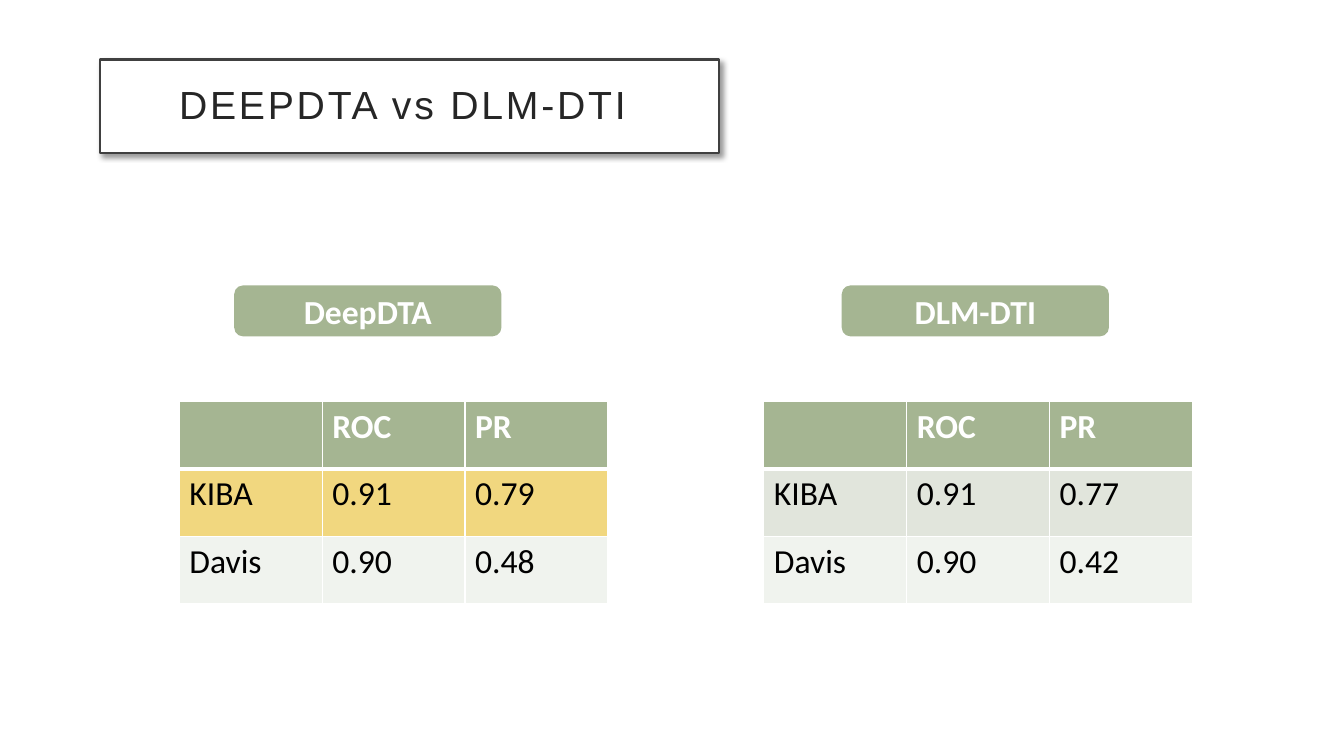
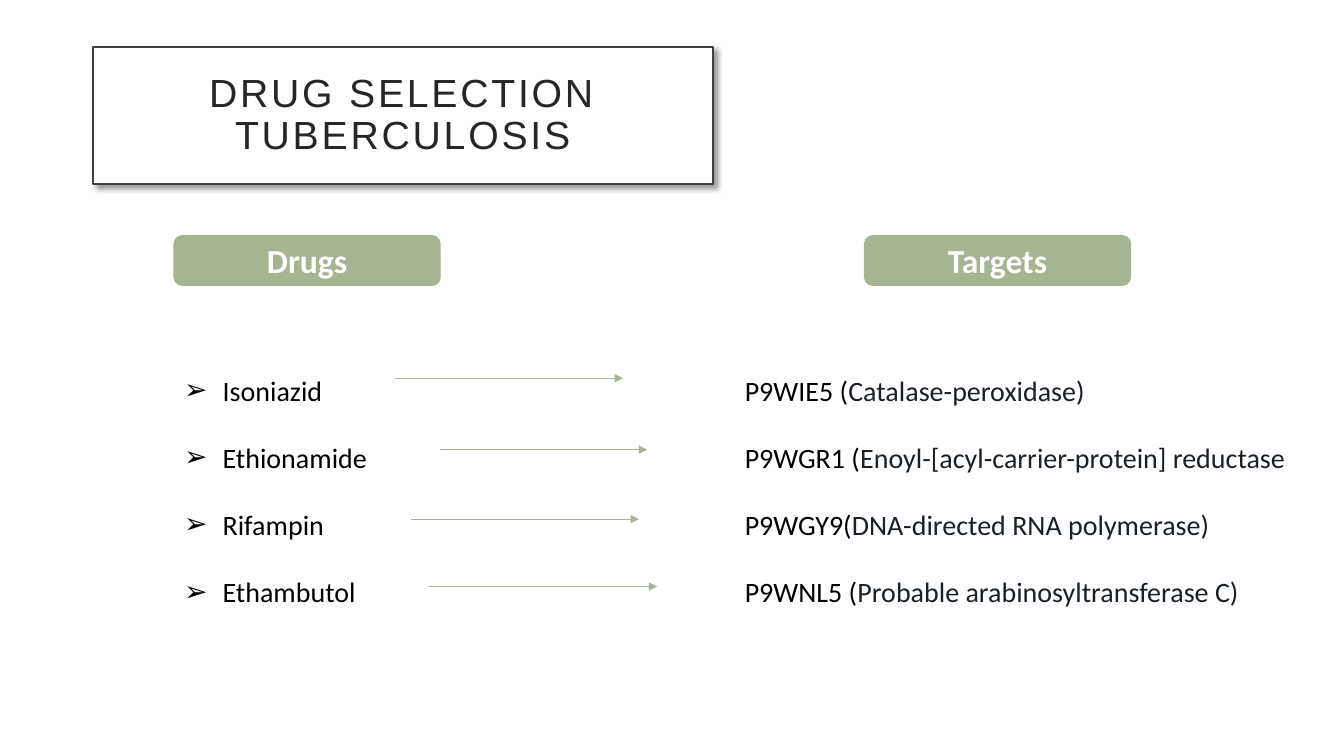
from dataclasses import dataclass

from lxml.etree import SubElement
from pptx import Presentation
from pptx.dml.color import RGBColor
from pptx.enum.shapes import MSO_CONNECTOR, MSO_SHAPE
from pptx.enum.text import MSO_ANCHOR, MSO_AUTO_SIZE, PP_ALIGN
from pptx.oxml.ns import qn
from pptx.util import Cm, Pt


@dataclass(frozen=True)
class Theme:
    accent: str = "A5B592"
    band_dark: str = "E1E5DC"
    band_light: str = "F0F3EE"
    highlight: str = "F1D77F"
    white: str = "FFFFFF"
    black: str = "000000"
    target_text: str = "192027"
    title_text: str = "262626"
    title_line: str = "404040"
    title_font: str = "Arial"
    body_font: str = "Calibri"
    title_size: int = 28
    heading_size: int = 24
    body_size: int = 20


@dataclass(frozen=True)
class Box:
    """A region of the slide in centimetres."""
    left: float
    top: float
    width: float
    height: float

    def lengths(self):
        return Cm(self.left), Cm(self.top), Cm(self.width), Cm(self.height)


THEME = Theme()
BADGE_WIDTH, BADGE_HEIGHT = 6.7, 1.25
TITLE_WIDTH = 15.62
TITLE_INSET = 0.51
BULLET_INDENT = 0.97

# Model, table box, offset of the badge from the table, fill of the KIBA row, scores
RESULTS = [
    ("DeepDTA", Box(4.52, 10.11, 10.8, 5.1), 1.4, THEME.highlight,
     [("", "ROC", "PR"), ("KIBA", "0.91", "0.79"), ("Davis", "0.90", "0.48")]),
    ("DLM-DTI", Box(19.25, 10.11, 10.8, 5.1), 1.98, THEME.band_dark,
     [("", "ROC", "PR"), ("KIBA", "0.91", "0.77"), ("Davis", "0.90", "0.42")]),
]
DRUGS = ["Isoniazid", "Ethionamide", "Rifampin", "Ethambutol"]
TARGETS = [
    ("P9WIE5 (", "Catalase-peroxidase)"),
    ("P9WGR1 (", "Enoyl-[acyl-carrier-protein] reductase"),
    ("P9WGY9(", "DNA-directed RNA polymerase)"),
    ("P9WNL5 (", "Probable arabinosyltransferase C)"),
]
# Start, height and length of each arrow, from the corner of the drug list
ARROWS = [(5.57, 1.1, 5.74), (6.71, 2.9, 5.21), (5.97, 4.65, 5.74), (6.43, 6.35, 5.74)]


def color(value):
    return RGBColor.from_string(value)


def format_font(font, size, value, bold=False, name=THEME.body_font):
    font.name, font.size, font.bold = name, Pt(size), bold
    font.color.rgb = color(value)


def format_shape(shape, fill, line, line_width):
    shape.shadow.inherit = False
    shape.fill.solid()
    shape.fill.fore_color.rgb = color(fill)
    shape.line.color.rgb = color(line)
    shape.line.width = Pt(line_width)


def add_title_slide(presentation, title_text, box):
    """Add a title-only slide with its framed, shadowed title in the box."""
    slide = presentation.slides.add_slide(presentation.slide_layouts[5])
    title = slide.shapes.title
    title.left, title.top, title.width, title.height = box.lengths()
    format_shape(title, THEME.white, THEME.title_line, 1.5)
    effects = title.element.spPr.find(qn("a:effectLst"))
    shadow = SubElement(effects, qn("a:outerShdw"), blurRad=str(Pt(4)), dist=str(Pt(3)),
                        dir="2700000", algn="tl", rotWithShape="0")
    shadow_color = SubElement(shadow, qn("a:srgbClr"), val=THEME.black)
    SubElement(shadow_color, qn("a:alpha"), val="40000")

    frame = title.text_frame
    frame.text = title_text
    frame.word_wrap = True
    frame.auto_size = MSO_AUTO_SIZE.NONE
    frame.vertical_anchor = MSO_ANCHOR.MIDDLE
    frame.margin_left = frame.margin_right = Cm(TITLE_INSET)
    frame.margin_top = frame.margin_bottom = Cm(TITLE_INSET)
    paragraph = frame.paragraphs[0]
    paragraph.alignment = PP_ALIGN.CENTER
    paragraph.line_spacing = 0.9
    run = paragraph.runs[0]
    format_font(run.font, THEME.title_size, THEME.title_text, name=THEME.title_font)
    run.font._element.set("spc", "200")
    return slide


def add_badge(slide, text, left, top):
    box = Box(left, top, BADGE_WIDTH, BADGE_HEIGHT)
    badge = slide.shapes.add_shape(MSO_SHAPE.ROUNDED_RECTANGLE, *box.lengths())
    format_shape(badge, THEME.accent, THEME.accent, 1)
    frame = badge.text_frame
    frame.text = text
    frame.vertical_anchor = MSO_ANCHOR.MIDDLE
    paragraph = frame.paragraphs[0]
    paragraph.alignment = PP_ALIGN.CENTER
    format_font(paragraph.runs[0].font, THEME.heading_size, THEME.white, bold=True)


def set_cell_borders(cell, top, bottom):
    """Draw white borders; top and bottom are widths in points."""
    properties = cell._tc.get_or_add_tcPr()
    for side, width in (("L", 1), ("R", 1), ("T", top), ("B", bottom)):
        border = SubElement(properties, qn(f"a:ln{side}"), w=str(Pt(width)))
        fill = SubElement(border, qn("a:solidFill"))
        SubElement(fill, qn("a:srgbClr"), val=THEME.white)


def add_score_table(slide, box, scores, kiba_fill):
    rows, columns = len(scores), len(scores[0])
    table = slide.shapes.add_table(rows, columns, *box.lengths()).table
    for column in table.columns:
        column.width = Cm(box.width / columns)
    fills = [THEME.accent, kiba_fill, THEME.band_light]
    for row_index, row in enumerate(scores):
        table.rows[row_index].height = Cm(box.height / rows)
        header = row_index == 0
        for column_index, text in enumerate(row):
            cell = table.cell(row_index, column_index)
            set_cell_borders(cell, top=3 if row_index == 1 else 1, bottom=3 if header else 1)
            cell.fill.solid()
            cell.fill.fore_color.rgb = color(fills[row_index])
            cell.text_frame.text = text
            format_font(cell.text_frame.paragraphs[0].font, THEME.heading_size,
                        THEME.white if header else THEME.black, bold=header)
            for run in cell.text_frame.paragraphs[0].runs:
                format_font(run.font, THEME.heading_size,
                            THEME.white if header else THEME.black, bold=header)


def add_list(slide, box, items, bulleted=False):
    """Add double-spaced lines; each item is a tuple of one or two text parts."""
    frame = slide.shapes.add_textbox(*box.lengths()).text_frame
    frame.word_wrap = True
    for index, parts in enumerate(items):
        paragraph = frame.add_paragraph() if index else frame.paragraphs[0]
        paragraph.line_spacing = 2.0
        for text, value in zip(parts, (THEME.black, THEME.target_text)):
            run = paragraph.add_run()
            run.text = text
            format_font(run.font, THEME.body_size, value)
        if bulleted:
            properties = paragraph._p.get_or_add_pPr()
            properties.set("marL", str(Cm(BULLET_INDENT)))
            properties.set("indent", str(-Cm(BULLET_INDENT)))
            SubElement(properties, qn("a:buFont"), typeface=THEME.title_font)
            SubElement(properties, qn("a:buChar"), char="➢")


def add_arrow(slide, left, top, length):
    arrow = slide.shapes.add_connector(
        MSO_CONNECTOR.STRAIGHT, Cm(left), Cm(top), Cm(left + length), Cm(top))
    arrow.line.color.rgb = color(THEME.accent)
    arrow.line.width = Pt(0.5)
    SubElement(arrow.line._get_or_add_ln(), qn("a:tailEnd"), type="triangle")
    SubElement(arrow._element.spPr, qn("a:effectLst"))


def build_comparison_slide(presentation):
    slide = add_title_slide(presentation, "DEEPDTA vs DLM-DTI ",
                            Box(2.51, 1.5, TITLE_WIDTH, 2.36))
    for model, box, badge_offset, kiba_fill, scores in RESULTS:
        add_badge(slide, model, box.left + badge_offset, box.top - 2.9)
        add_score_table(slide, box, scores, kiba_fill)


def build_drug_slide(presentation):
    slide = add_title_slide(presentation, "DRUG SELECTION TUBERCULOSIS",
                            Box(2.34, 1.19, TITLE_WIDTH, 3.45))
    drug_box = Box(4.39, 8.43, 11.3, 7.2)
    target_box = Box(18.52, drug_box.top, 15.2, drug_box.height)
    badge_top = drug_box.top - 2.49
    add_badge(slide, "Drugs", drug_box.left, badge_top)
    add_badge(slide, "Targets", target_box.left + 3.27, badge_top)
    add_list(slide, drug_box, [(drug,) for drug in DRUGS], bulleted=True)
    add_list(slide, target_box, TARGETS)
    for start, height, length in ARROWS:
        add_arrow(slide, drug_box.left + start, drug_box.top + height, length)


def main():
    presentation = Presentation()
    presentation.slide_width, presentation.slide_height = Cm(33.87), Cm(19.05)
    build_comparison_slide(presentation)
    build_drug_slide(presentation)
    presentation.save("out.pptx")


if __name__ == "__main__":
    main()
